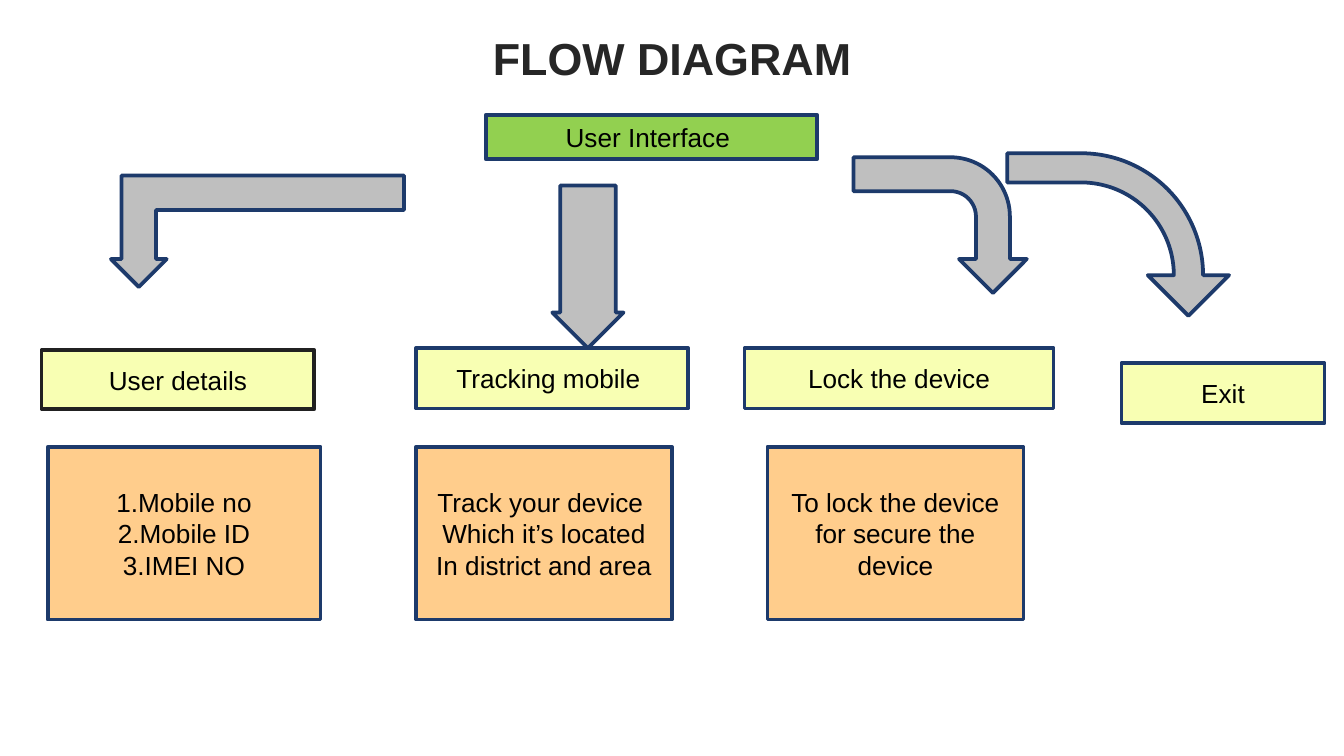
from pptx import Presentation
from pptx.dml.color import RGBColor
from pptx.enum.shapes import MSO_SHAPE
from pptx.enum.text import MSO_ANCHOR, PP_ALIGN
from pptx.util import Pt

PX = 4572  # 200 px to the inch
RECT = MSO_SHAPE.RECTANGLE
BENT_UP = MSO_SHAPE.BENT_UP_ARROW
LEFT_ARROW = MSO_SHAPE.LEFT_ARROW
BENT = MSO_SHAPE.BENT_ARROW
CENTER = PP_ALIGN.CENTER
MIDDLE = MSO_ANCHOR.MIDDLE

NAVY, CHARCOAL = "1D3A6B", "212121"
GREEN, YELLOW, ORANGE, GRAY = "92D050", "F8FFB3", "FFCD8C", "BFBFBF"

prs = Presentation()
prs.slide_width, prs.slide_height = 2000 * PX, 1125 * PX
slide = prs.slides.add_slide(prs.slide_layouts[6])


def add_block(kind, box, fill, line=NAVY):
    """Add a filled, outlined shape; box is left, top, width, height in px."""
    block = slide.shapes.add_shape(kind, *[n * PX for n in box])
    block.shadow.inherit = False
    block.fill.solid()
    block.fill.fore_color.rgb = RGBColor.from_string(fill)
    block.line.color.rgb = RGBColor.from_string(line)
    block.line.width = Pt(2)
    return block


def write(frame, *lines, size=14, color="000000", bold=False):
    """Write each line as a centred paragraph."""
    frame.word_wrap = True
    for i, line in enumerate(lines):
        paragraph = frame.add_paragraph() if i else frame.paragraphs[0]
        paragraph.alignment = CENTER
        run = paragraph.add_run()
        run.text = line
        run.font.name = "Arial"
        run.font.size = Pt(size)
        run.font.bold = bold
        run.font.color.rgb = RGBColor.from_string(color)


title = slide.shapes.add_textbox(8 * PX, 26 * PX, 1984 * PX, 122 * PX).text_frame
title.margin_top = title.margin_bottom = 20 * PX
write(title, "FLOW DIAGRAM", size=24, color="262626", bold=True)

steps = [
    ((723, 171, 493, 66), GREEN, NAVY, ["User Interface "]),
    ((62, 521, 406, 88), YELLOW, CHARCOAL, ["User details"]),
    ((619, 518, 405, 90), YELLOW, NAVY, ["Tracking mobile "]),
    ((1108, 518, 460, 90), YELLOW, NAVY, ["Lock the device"]),
    ((1669, 540, 302, 90), YELLOW, NAVY, ["Exit"]),
    ((71, 665, 406, 257), ORANGE, NAVY,
     ["1.Mobile no", "2.Mobile ID", "3.IMEI NO"]),
    ((619, 665, 381, 257), ORANGE, NAVY,
     ["Track your device ", "Which it’s located", "In district and area"]),
    ((1142, 665, 381, 257), ORANGE, NAVY,
     ["To lock the device for secure the device"]),
]
for box, fill, line, lines in steps:
    step = add_block(RECT, box, fill, line).text_frame
    step.vertical_anchor = MIDDLE
    write(step, *lines)

arrows = [
    (BENT_UP, (165, 261, 436, 166), 180, (0.31, 0.25, 0.25)),
    (LEFT_ARROW, (754, 344, 242, 106), 270, (0.78, 0.5)),
    (BENT, (1543, 184, 242, 330), 90, (0.18, 0.25, 0.25, 0.75)),
    (BENT, (1298, 206, 202, 258), 90, ()),
]
for kind, box, angle, adjustments in arrows:
    arrow = add_block(kind, box, GRAY)
    arrow.rotation = angle
    for i, value in enumerate(adjustments):
        arrow.adjustments[i] = value

prs.save("out.pptx")
